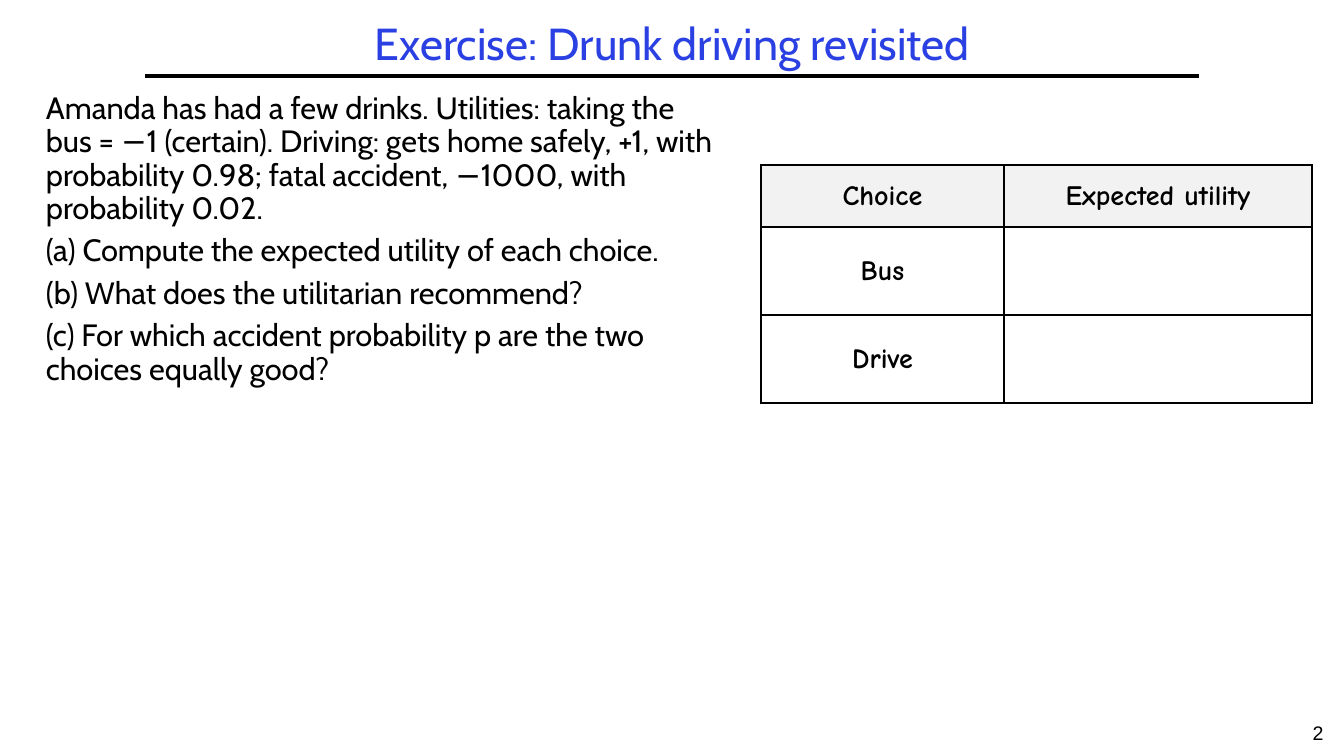
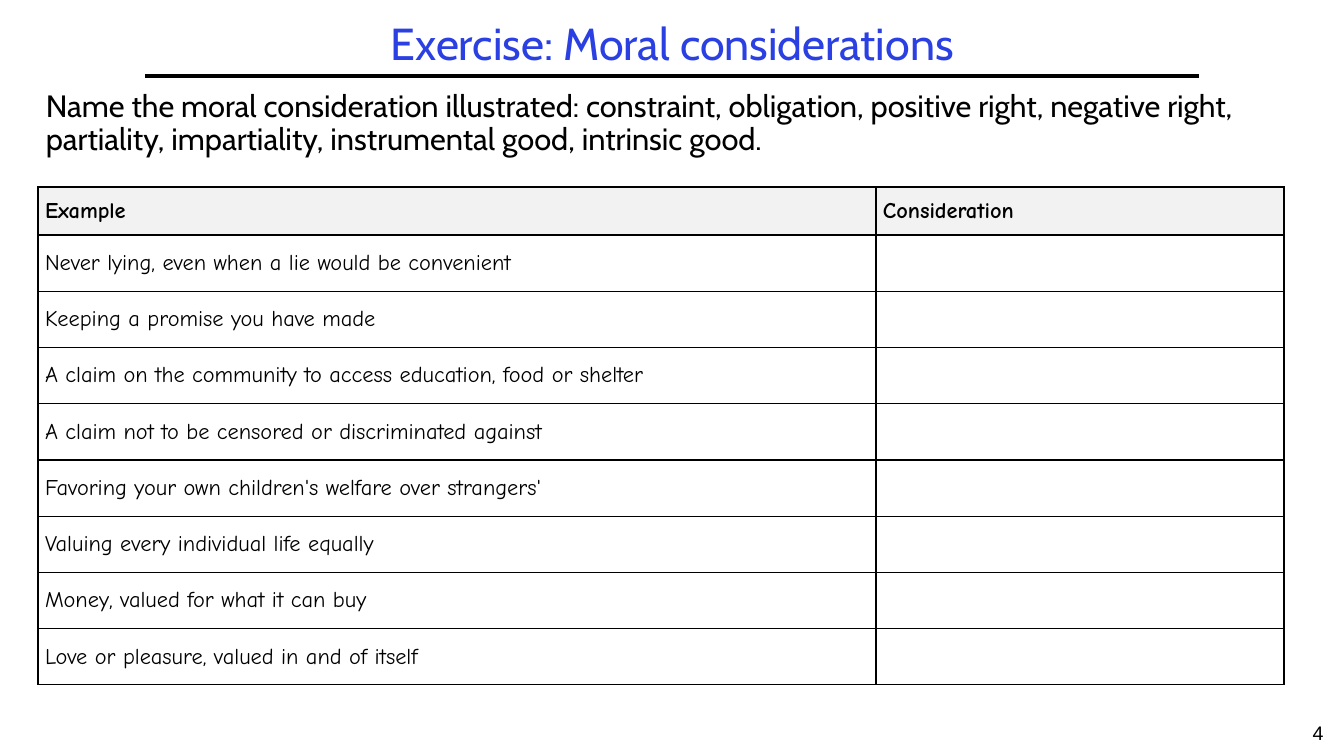
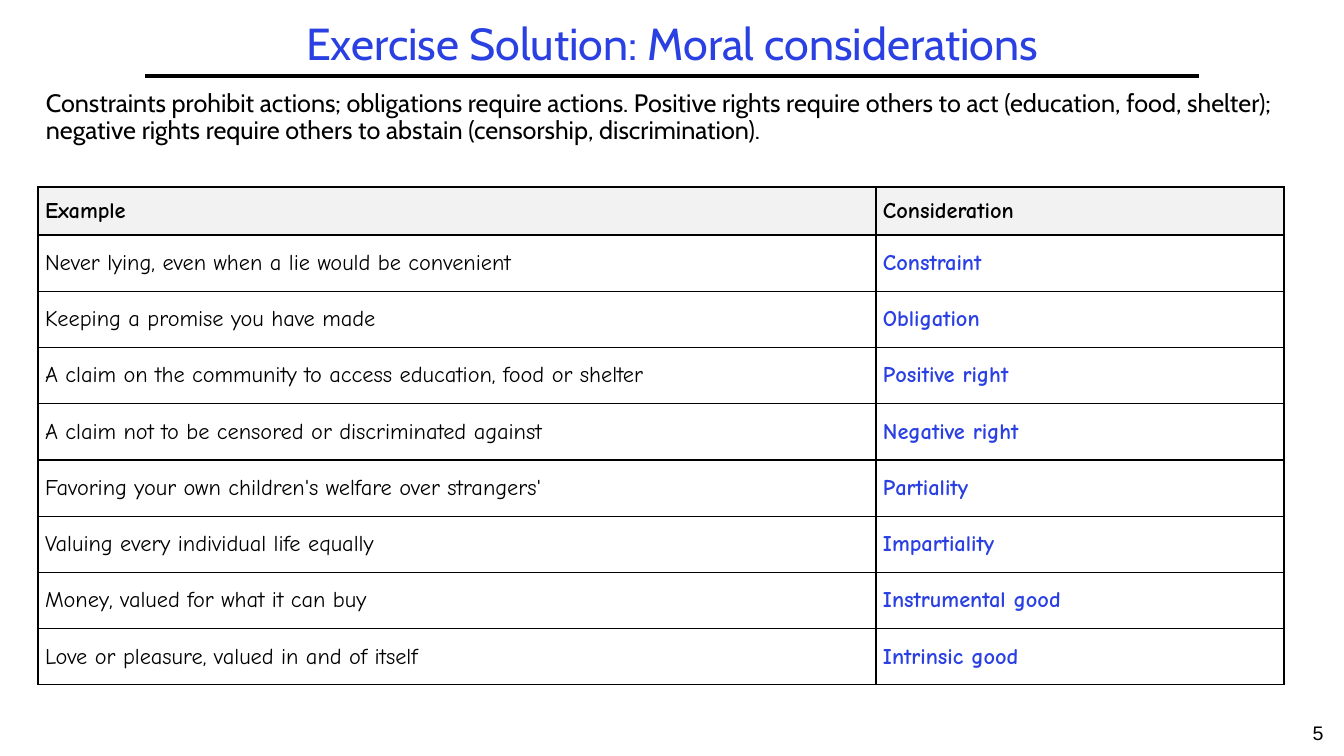
from lxml import etree
from pptx import Presentation
from pptx.dml.color import RGBColor
from pptx.enum.shapes import MSO_CONNECTOR
from pptx.enum.text import MSO_ANCHOR, MSO_AUTO_SIZE, PP_ALIGN
from pptx.oxml import parse_xml
from pptx.oxml.ns import nsdecls, qn
from pptx.util import Pt

PX = 914400 / 100.8
BLUE, BLACK, WHITE, GREY = "2A40E2", "000000", "FFFFFF", "F2F2F2"
LEFT, CENTER = PP_ALIGN.LEFT, PP_ALIGN.CENTER
MIDDLE = MSO_ANCHOR.MIDDLE
STRAIGHT = MSO_CONNECTOR.STRAIGHT
NO_AUTOFIT = MSO_AUTO_SIZE.NONE
TITLE_ONLY = 5

EXAMPLES = [
    ("Never lying, even when a lie would be convenient", "Constraint"),
    ("Keeping a promise you have made", "Obligation"),
    ("A claim on the community to access education, food or shelter", "Positive right"),
    ("A claim not to be censored or discriminated against", "Negative right"),
    ("Favoring your own children's welfare over strangers'", "Partiality"),
    ("Valuing every individual life equally", "Impartiality"),
    ("Money, valued for what it can buy", "Instrumental good"),
    ("Love or pleasure, valued in and of itself", "Intrinsic good"),
]
EXAMPLES_HEADER = ("Example", "Consideration")
WIDE_BODY = (36, 86, 1268, 102)
UTILITY_TABLE = {"at": (761, 165), "columns": (243, 308), "height": 238, "header": 62,
                 "size": 20, "align": CENTER, "bold_labels": True}
EXAMPLES_TABLE = {"at": (38, 187), "columns": (838, 408), "height": 498, "header": 48,
                  "size": 16, "align": LEFT, "bold_labels": False}

PAGES = [
    {
        "number": "2",
        "title": "Exercise: Drunk driving revisited",
        "body": [
            "Amanda has had a few drinks. Utilities: taking the bus = −1 (certain). "
            "Driving: gets home safely, +1, with probability 0.98; fatal accident, "
            "−1000, with probability 0.02.",
            "(a) Compute the expected utility of each choice.",
            "(b) What does the utilitarian recommend?",
            "(c) For which accident probability p are the two choices equally good?",
        ],
        "body_at": (36, 88, 695, 606),
        "body_size": 22,
        "table": UTILITY_TABLE,
        "rows": [("Choice", "Expected utility"), ("Bus", ""), ("Drive", "")],
    },
    {
        "number": "4",
        "title": "Exercise: Moral considerations",
        "body": [
            "Name the moral consideration illustrated: constraint, obligation, positive "
            "right, negative right, partiality, impartiality, instrumental good, "
            "intrinsic good.",
        ],
        "body_at": WIDE_BODY,
        "body_size": 22,
        "table": EXAMPLES_TABLE,
        "rows": [EXAMPLES_HEADER] + [(example, "") for example, answer in EXAMPLES],
    },
    {
        "number": "5",
        "title": "Exercise Solution: Moral considerations",
        "body": [
            "Constraints prohibit actions; obligations require actions. Positive rights "
            "require others to act (education, food, shelter); negative rights require "
            "others to abstain (censorship, discrimination).",
        ],
        "body_at": WIDE_BODY,
        "body_size": 18,
        "table": EXAMPLES_TABLE,
        "rows": [EXAMPLES_HEADER] + EXAMPLES,
    },
]


def px(*lengths):
    """Turn pixel lengths into a list of EMU."""
    return [round(length * PX) for length in lengths]


def format_text(frame, font, size, color, align=LEFT, bold=False, spacing=1.0):
    for para in frame.paragraphs:
        para.alignment = align
        para.line_spacing = spacing
        for span in para.runs:
            span.font.name = font
            span.font.size = Pt(size)
            span.font.bold = bold
            span.font.color.rgb = RGBColor.from_string(color)


deck = Presentation()
deck.slide_width, deck.slide_height = px(1344, 756)

for content in PAGES:
    page = deck.slides.add_slide(deck.slide_layouts[TITLE_ONLY])

    rule = page.shapes.add_connector(STRAIGHT, *px(145, 76, 1199, 76))
    rule.line.color.rgb = RGBColor.from_string(BLACK)
    rule.line.width = Pt(3)
    etree.SubElement(rule._element.spPr, qn("a:effectLst"))

    number = page.shapes.add_textbox(*px(1293, 716, 50, 40))
    number.text_frame.word_wrap = True
    number.text_frame.text = content["number"]
    format_text(number.text_frame, "Arial", 14, BLACK, CENTER)

    title = page.shapes.title
    title.left, title.top, title.width, title.height = px(145, 17, 1055, 58)
    title.text_frame.text = content["title"]
    title.text_frame.auto_size = NO_AUTOFIT
    title.text_frame.vertical_anchor = MIDDLE
    format_text(title.text_frame, "Cabin", 32, BLUE, CENTER, spacing=0.9)

    body = page.shapes.add_textbox(*px(*content["body_at"])).text_frame
    body.word_wrap = True
    body.text = "\n".join(content["body"])
    format_text(body, "Cabin", content["body_size"], BLACK, spacing=0.9)
    for para in body.paragraphs[1:]:
        para.space_before = Pt(6.6)

    style, rows = content["table"], content["rows"]
    size = (sum(style["columns"]), style["height"])
    table = page.shapes.add_table(len(rows), 2, *px(*style["at"], *size)).table
    table.first_row = table.horz_banding = False
    for column, width in zip(table.columns, px(*style["columns"])):
        column.width = width
    row_height = (style["height"] - style["header"]) / (len(rows) - 1)
    for r, texts in enumerate(rows):
        table.rows[r].height = px(row_height if r else style["header"])[0]
        for c, text in enumerate(texts):
            cell = table.cell(r, c)
            for side in ("lnL", "lnR", "lnT", "lnB"):
                cell._tc.get_or_add_tcPr().append(parse_xml(
                    f'<a:{side} {nsdecls("a")} w="12700"><a:solidFill>'
                    f'<a:srgbClr val="{BLACK}"/></a:solidFill></a:{side}>'))
            cell.fill.solid()
            cell.fill.fore_color.rgb = RGBColor.from_string(WHITE if r else GREY)
            cell.vertical_anchor = MIDDLE
            cell.margin_left, cell.margin_right = px(7, 7)
            cell.margin_top, cell.margin_bottom = px(3, 3)
            cell.text_frame.text = text
            is_answer = r > 0 and c == 1
            format_text(cell.text_frame, "Comic Neue", style["size"],
                        BLUE if is_answer else BLACK, style["align"],
                        bold=r == 0 or is_answer or style["bold_labels"])

deck.save("out.pptx")
